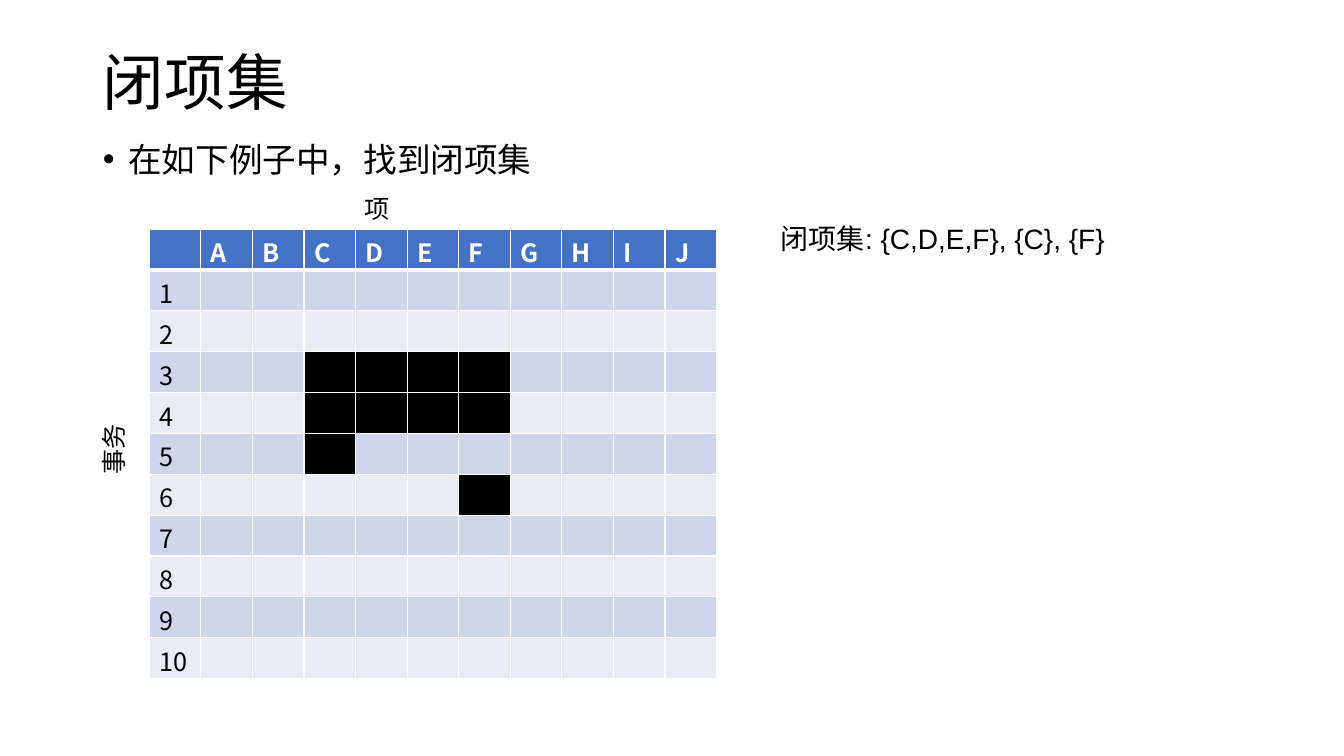
import pptx
import pptx.util
import pptx.dml.color
import pptx.enum.text
import pptx.oxml
import pptx.oxml.ns
from pptx.util import Cm

COLORS = {"text": "000000", "white": "FFFFFF", "header": "4472C4",
          "odd": "CFD5EA", "even": "E9EBF5", "mark": "000000"}
CJK = "Noto Sans CJK SC"
NS = pptx.oxml.ns.nsdecls("a")


def format_text(tf, size, font, color="text", bold=False):
    for r in tf.paragraphs[0].runs:
        r.font.size = pptx.util.Pt(size)
        r.font.name = font
        r.font.bold = bold
        r.font.color.rgb = pptx.dml.color.RGBColor.from_string(COLORS[color])
        r.font._element.find(pptx.oxml.ns.qn("a:latin")).addnext(
            pptx.oxml.parse_xml(f'<a:ea {NS} typeface="{CJK}"/>'))


def add_borders(cell, widths):
    tcPr = cell._tc.get_or_add_tcPr()
    for side, width in zip("LRTB", widths):
        tcPr.append(pptx.oxml.parse_xml(
            f'<a:ln{side} {NS} w="{pptx.util.Pt(width)}"><a:solidFill>'
            f'<a:srgbClr val="{COLORS["white"]}"/></a:solidFill></a:ln{side}>'))


prs = pptx.Presentation()
prs.slide_width, prs.slide_height = Cm(33.87), Cm(19.05)
s = prs.slides.add_slide(prs.slide_layouts[1])

# Title and bullet
title, body = s.shapes.title, s.placeholders[1]
for sp, text, top, height, size, anchor in [
        (title, "闭项集", 1.17, 1.96, 44, pptx.enum.text.MSO_ANCHOR.MIDDLE),
        (body, "在如下例子中，找到闭项集", 3.48, 14.81, 24, pptx.enum.text.MSO_ANCHOR.TOP)]:
    sp.left, sp.top, sp.width, sp.height = Cm(2.34), Cm(top), Cm(29.21), Cm(height)
    tf = sp.text_frame
    tf.text = text
    tf.auto_size = pptx.enum.text.MSO_AUTO_SIZE.NONE
    tf.vertical_anchor = anchor
    p = tf.paragraphs[0]
    p.alignment = pptx.enum.text.PP_ALIGN.LEFT
    p.line_spacing = 0.9
    p.space_before = pptx.util.Pt(0)
    format_text(tf, size, CJK)

pPr = body.text_frame.paragraphs[0]._p.get_or_add_pPr()
pPr.set("marL", str(Cm(0.64)))
pPr.set("indent", str(-Cm(0.64)))
pPr.append(pptx.oxml.parse_xml(f'<a:buFont {NS} typeface="Arial"/>'))
pPr.append(pptx.oxml.parse_xml(f'<a:buChar {NS} char="•"/>'))

# Axis labels and answer
for text, left, top, width, height, size, rotation, wrap in [
        ("项", 8.94, 4.75, 1.14, 1.02, 18, 0, False),
        ("事务", 1.96, 10.8, 1.8, 1.02, 18, 270, False),
        ("闭项集: {C,D,E,F}, {C}, {F}", 19.43, 5.46, 8.74, 1.12, 20, 0, True)]:
    sp = s.shapes.add_textbox(Cm(left), Cm(top), Cm(width), Cm(height))
    sp.rotation = rotation
    sp.text_frame.text = text
    sp.text_frame.word_wrap = wrap
    format_text(sp.text_frame, size, "Arial")

# Transaction table: items across, transactions down
items = "ABCDEFGHIJ"
transactions = {3: "CDEF", 4: "CDEF", 5: "C", 6: "F"}
n = len(items) + 1
table = s.shapes.add_table(n, n, Cm(3.76), Cm(5.77), Cm(1.3 * n), Cm(1.03 * n)).table
for i in range(n):
    table.columns[i].width = Cm(1.3)
    table.rows[i].height = Cm(1.03)
    for j in range(n):
        cell = table.cell(i, j)
        cell.margin_top, cell.margin_bottom = Cm(0.11), Cm(0)
        add_borders(cell, (1, 1, 3 if i == 1 else 1, 3 if i == 0 else 1))
        if i == 0:
            fill = "header"
        elif j and items[j - 1] in transactions.get(i, ""):
            fill = "mark"
        else:
            fill = "odd" if i % 2 else "even"
        cell.fill.solid()
        cell.fill.fore_color.rgb = pptx.dml.color.RGBColor.from_string(COLORS[fill])
        if i == 0 and j:
            cell.text_frame.text = items[j - 1]
            format_text(cell.text_frame, 18, CJK, "white", True)
        elif i and j == 0:
            cell.text_frame.text = str(i)
            format_text(cell.text_frame, 18, CJK)

prs.save("out.pptx")
